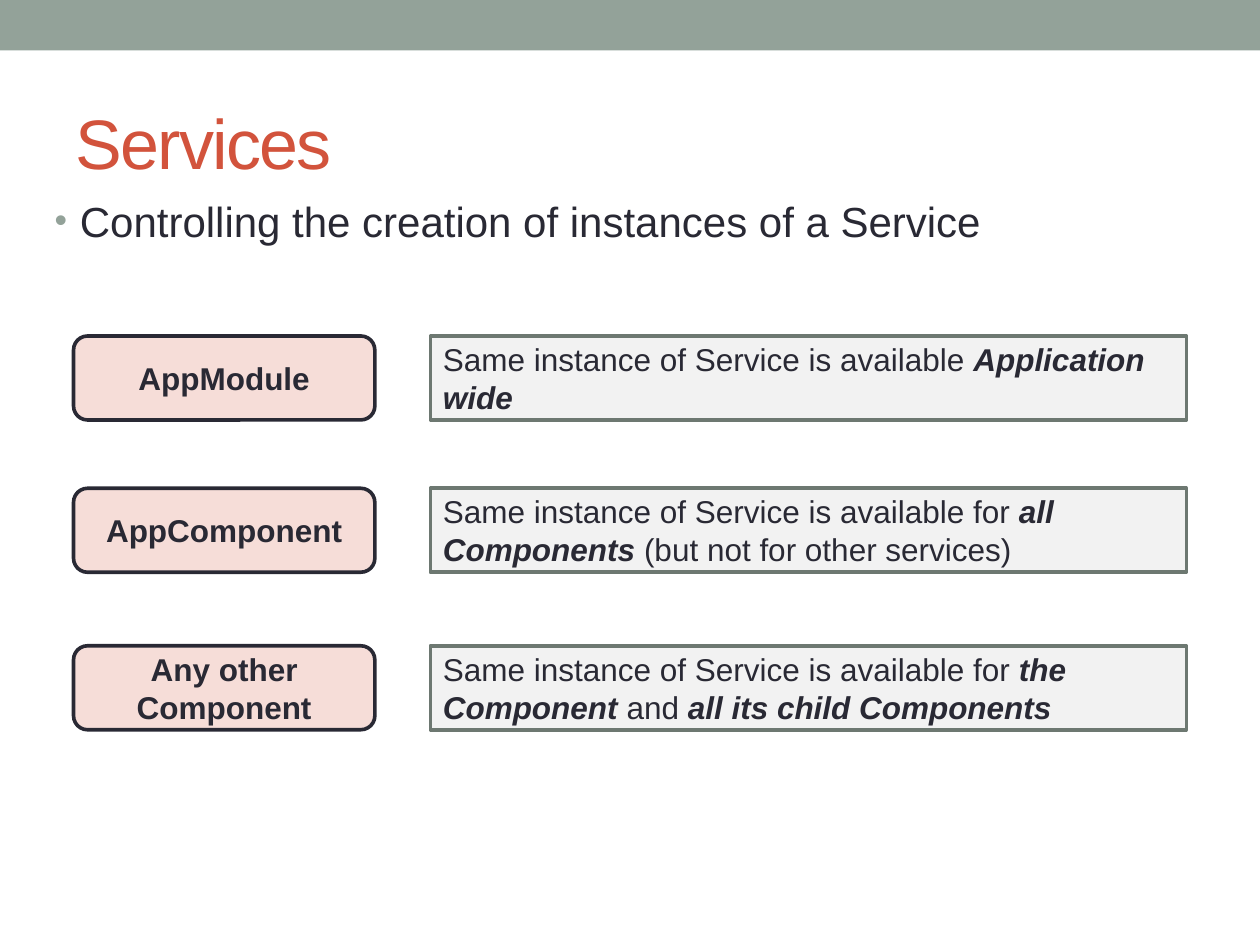
import pptx
import pptx.dml.color
import pptx.enum.shapes
import pptx.enum.text
import pptx.oxml
import pptx.oxml.ns
import pptx.util

COLORS = {
    "sage": "93A299",
    "sage_dark": "6D7871",
    "ink": "292934",
    "brick": "D2533C",
    "blush": "F6DDD8",
    "mist": "F2F2F2",
}
ALIGN = pptx.enum.text.PP_ALIGN
ANCHOR = pptx.enum.text.MSO_ANCHOR
SHAPE = pptx.enum.shapes.MSO_SHAPE
COLUMNS, ROWS = 120, 90


def rgb(name):
    """Return the palette colour of that name."""
    return pptx.dml.color.RGBColor.from_string(COLORS[name])


class SlideBuilder:
    """Holds the style and the slide that is being built."""

    font = "Arial"
    frame_format = {
        "word_wrap": True,
        "auto_size": pptx.enum.text.MSO_AUTO_SIZE.NONE,
    }

    def __init__(self, deck):
        """Add a title and content slide to the deck."""
        self.column = deck.slide_width / COLUMNS
        self.row = deck.slide_height / ROWS
        self.slide = deck.slides.add_slide(deck.slide_layouts[1])

    def place(self, element, left, top, width, height):
        """Move an element to its grid cells."""
        position = {
            "left": left * self.column,
            "top": top * self.row,
            "width": width * self.column,
            "height": height * self.row,
        }
        for name, value in position.items():
            setattr(element, name, round(value))

    def set_text(self, element, runs, size, color="ink", align=ALIGN.LEFT, anchor=ANCHOR.MIDDLE):
        """Fill one paragraph with (text, font format) runs and return it."""
        frame = element.text_frame
        for name, value in {**self.frame_format, "vertical_anchor": anchor}.items():
            setattr(frame, name, value)
        paragraph = frame.paragraphs[0]
        paragraph.alignment = align
        for text, emphasis in runs:
            run = paragraph.add_run()
            run.text = text
            style = {"name": self.font, "size": pptx.util.Pt(size), **emphasis}
            for name, value in style.items():
                setattr(run.font, name, value)
            run.font.color.rgb = rgb(color)
        return paragraph

    def box(self, kind, cells, fill, line=None):
        """Draw a filled shape with an optional outline."""
        shape = self.slide.shapes.add_shape(kind, 0, 0, 0, 0)
        self.place(shape, *cells)
        shape.shadow.inherit = False
        shape.fill.solid()
        shape.fill.fore_color.rgb = rgb(fill)
        if line:
            shape.line.color.rgb = rgb(line)
            shape.line.width = pptx.util.Pt(2.08)
        else:
            shape.line.fill.background()
        return shape

    def title(self, text, cells):
        """Fill the title placeholder with tightly spaced text."""
        heading = self.slide.shapes.title
        self.place(heading, *cells)
        paragraph = self.set_text(heading, [(text, {})], 40, "brick")
        paragraph.runs[0]._r.get_or_add_rPr().set("spc", "-100")

    def bullet(self, text, cells):
        """Fill the body placeholder with one bulleted line."""
        body = self.slide.placeholders[1]
        self.place(body, *cells)
        paragraph = self.set_text(body, [(text, {})], 24, anchor=ANCHOR.TOP)
        paragraph.space_before = pptx.util.Pt(4.8)
        properties = paragraph._p.get_or_add_pPr()
        indent = pptx.util.Inches(0.2)
        properties.set("marL", str(indent))
        properties.set("indent", str(-indent))
        namespace = pptx.oxml.ns.nsdecls("a")
        for markup in (
            f'<a:buClr {namespace}><a:srgbClr val="{COLORS["sage"]}"/></a:buClr>',
            f'<a:buSzPct {namespace} val="85000"/>',
            f'<a:buFont {namespace} typeface="{self.font}"/>',
            f'<a:buChar {namespace} char="•"/>',
        ):
            properties.append(pptx.oxml.parse_xml(markup))

    def scope(self, top, provider, effect):
        """Draw a provider level beside its effect."""
        label = self.box(SHAPE.ROUNDED_RECTANGLE, (7, top, 28.7, 8), "blush", "ink")
        self.set_text(label, [(provider, {"bold": True})], 18, align=ALIGN.CENTER)
        note = self.box(SHAPE.RECTANGLE, (41, top, 72, 8), "mist", "sage_dark")
        self.set_text(note, effect, 18)


PLAIN = {"bold": False, "italic": False}
STRONG = {"bold": True, "italic": True}
SCOPES = [
    (32, "AppModule", [
        ("Same instance of Service is available ", PLAIN),
        ("Application wide", STRONG),
    ]),
    (46.5, "AppComponent", [
        ("Same instance of Service is available for ", PLAIN),
        ("all Components", STRONG),
        (" (but not for other services)", PLAIN),
    ]),
    (61.5, "Any other Component", [
        ("Same instance of Service is available for ", PLAIN),
        ("the Component", STRONG),
        (" and ", PLAIN),
        ("all its child Components", STRONG),
    ]),
]

deck = pptx.Presentation()
deck.slide_width = pptx.util.Inches(10)
deck.slide_height = pptx.util.Inches(7.5)
services = SlideBuilder(deck)
services.box(SHAPE.RECTANGLE, (0, 0, COLUMNS, 4.8), "sage")
services.title("Services", (6, 7, 108, 13))
services.bullet("Controlling the creation of instances of a Service", (4, 18, 112, 10))
for top, provider, effect in SCOPES:
    services.scope(top, provider, effect)
deck.save("out.pptx")
